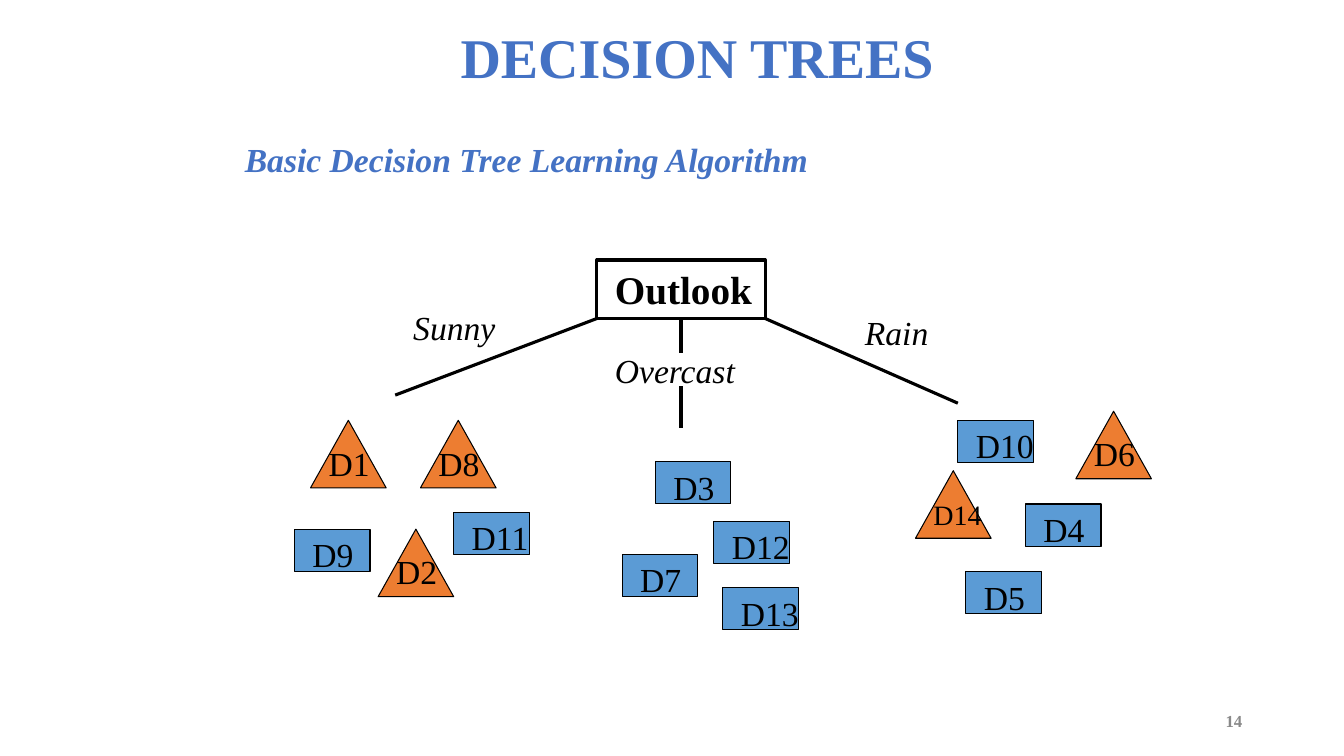
from pptx import Presentation
from pptx.dml.color import RGBColor
from pptx.enum import shapes, text
from pptx.oxml.ns import qn
from pptx.util import Inches, Pt
from lxml import etree

BLACK, BLUE, GREY = "000000", "4472C4", "898989"
YES_FILL, NO_FILL = "5B9BD5", "ED7D31"


def color(value):
    return RGBColor.from_string(value)


def add_text(words, left, top, width, height, parent, size=24, hue=BLACK, bold=False,
             italic=False, align="LEFT", anchor="TOP", wrap=False, grow=True):
    box = parent.add_textbox(Inches(left), Inches(top), Inches(width), Inches(height))
    frame = box.text_frame
    frame.word_wrap = wrap
    frame.vertical_anchor = text.MSO_ANCHOR[anchor]
    if grow:
        frame.auto_size = text.MSO_AUTO_SIZE.SHAPE_TO_FIT_TEXT
    line = frame.paragraphs[0]
    line.alignment = text.PP_ALIGN[align]
    run = line.add_run()
    run.text = words
    run.font.name = "Times New Roman"
    run.font.size = Pt(size)
    run.font.bold = bold
    run.font.italic = italic
    run.font.color.rgb = color(hue)


deck = Presentation()
deck.slide_width, deck.slide_height = Inches(13.33), Inches(7.5)
canvas = deck.slides.add_slide(deck.slide_layouts[6]).shapes

add_text("14", 9.42, 6.95, 3, 0.4, canvas, size=12, hue=GREY, bold=True,
         align="RIGHT", anchor="MIDDLE", wrap=True, grow=False)

# Training examples: rectangles are positive, triangles negative
positives = [("D13", 7.17, 5.83), ("D12", 7.08, 5.17), ("D11", 4.5, 5.08),
             ("D10", 9.5, 4.17), ("D9", 2.92, 5.25), ("D4", 10.17, 5),
             ("D7", 6.17, 5.5), ("D5", 9.58, 5.67), ("D3", 6.5, 4.58)]
negatives = [("D14", 9.08, 4.67), ("D8", 4.17, 4.17), ("D6", 10.67, 4.08),
             ("D2", 3.75, 5.25), ("D1", 3.08, 4.17)]
outcomes = [(positives, shapes.MSO_SHAPE.RECTANGLE, 0.42, YES_FILL, 0),
            (negatives, shapes.MSO_SHAPE.ISOSCELES_TRIANGLE, 0.67, NO_FILL, 0.17)]
for examples, outline, height, fill, drop in outcomes:
    for day, left, top in examples:
        group = canvas.add_group_shape().shapes
        marker = group.add_shape(outline, Inches(left), Inches(top),
                                 Inches(0.75), Inches(height))
        marker.shadow.inherit = False
        marker.fill.solid()
        marker.fill.fore_color.rgb = color(fill)
        marker.line.color.rgb = color(BLACK)
        marker.line.width = Pt(0.75)
        if day == "D14":  # smaller, to fit three characters in a triangle
            add_text(day, left + 0.08, top + 0.22, 0.68, 0.43, group, size=20)
        else:
            width = 0.61 if len(day) == 2 else 0.78
            add_text(day, left + 0.08, top + drop, width, 0.5, group)

# Root node
add_text("Outlook", 6, 2.58, 1.56, 0.57, canvas, size=28, bold=True)
root_left, root_top, root_width, root_height = 5.92, 2.58, 1.67, 0.58
root = canvas.add_shape(shapes.MSO_SHAPE.RECTANGLE, Inches(root_left), Inches(root_top),
                        Inches(root_width), Inches(root_height))
root.shadow.inherit = False
root.fill.background()
root.line.color.rgb = color(BLACK)
root.line.width = Pt(2.25)

# Branches
root_right, root_bottom = root_left + root_width, root_top + root_height
trunk = root_left + root_width / 2
branches = [(root_right, root_bottom, 9.5, 4), (root_left, root_bottom, 3.92, 3.92),
            (trunk, root_bottom, trunk, 3.5), (trunk, 3.83, trunk, 4.25)]
for x1, y1, x2, y2 in branches:
    branch = canvas.add_connector(shapes.MSO_CONNECTOR.STRAIGHT, Inches(x1), Inches(y1),
                                  Inches(x2), Inches(y2))
    branch.line.color.rgb = color(BLACK)
    branch.line.width = Pt(2.25)
    etree.SubElement(branch._element.spPr, qn("a:effectLst"))
    if (x1, y1) == (trunk, root_bottom):
        branch.begin_connect(root, 2)

for value, left, top, width in [("Sunny", 4, 3, 1.02), ("Overcast", 6, 3.42, 1.4),
                                ("Rain", 8.48, 3.05, 0.83)]:
    add_text(value, left, top, width, 0.5, canvas, italic=True)

add_text("Basic Decision Tree Learning Algorithm", 2.33, 1.33, 8.94, 0.5, canvas,
         hue=BLUE, bold=True, italic=True, align="JUSTIFY", wrap=True)
add_text("DECISION TREES", 2.5, 0.17, 8.83, 0.77, canvas, size=40, hue=BLUE,
         bold=True, align="CENTER", wrap=True)

deck.save("out.pptx")
